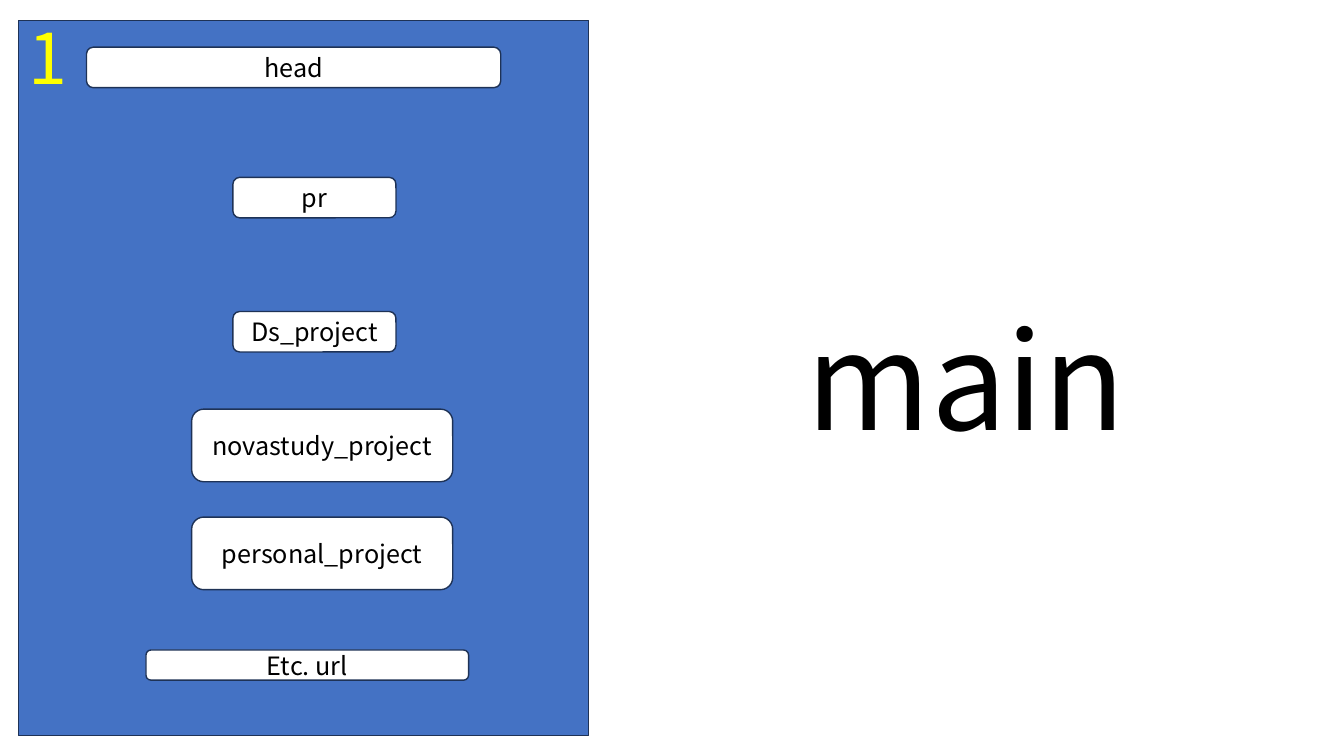
"""Build a wireframe slide of the main page and its sections."""
import pptx
import pptx.util
import pptx.dml.color
import pptx.enum.shapes
import pptx.enum.text

Cm = pptx.util.Cm
Pt = pptx.util.Pt
SHAPE = pptx.enum.shapes.MSO_SHAPE
ALIGN = pptx.enum.text.PP_ALIGN
ANCHOR = pptx.enum.text.MSO_ANCHOR

THEME = {
    "font": "Noto Sans CJK KR",
    "panel": "4472C4",
    "outline": "1E3256",
    "section": "FFFFFF",
    "text": "000000",
    "number": "FFFF00",
    "section_size": 18,
    "number_size": 50,
    "title_size": 96,
}

SLIDE_SIZE = (33.87, 19.05)
PANEL = (0.46, 0.51, 14.38, 18.03)
SECTIONS = [
    ("head", (2.18, 1.19, 10.44, 1.02)),
    ("pr", (5.87, 4.47, 4.11, 1.02)),
    ("Ds_project", (5.87, 7.85, 4.11, 1.02)),
    ("novastudy_project", (4.83, 10.31, 6.58, 1.83)),
    ("personal_project", (4.83, 13.03, 6.58, 1.83)),
    ("Etc. url", (3.68, 16.38, 8.13, 0.76)),
]
LABELS = [
    ("1", (0.46, 0.25, 1.73, 2.39), "number", ALIGN.LEFT),
    ("main", (17.09, 7.34, 14.53, 4.37), "title", ALIGN.CENTER),
]


def rgb(key):
    return pptx.dml.color.RGBColor.from_string(THEME[key])


def add_box(s, kind, box, fill):
    sp = s.shapes.add_shape(kind, *map(Cm, box))
    sp.shadow.inherit = False
    sp.fill.solid()
    sp.fill.fore_color.rgb = rgb(fill)
    sp.line.color.rgb = rgb("outline")
    sp.line.width = Pt(1)
    return sp


def write(sp, text, size, color, align, anchor):
    tf = sp.text_frame
    tf.word_wrap = True
    tf.vertical_anchor = anchor
    p = tf.paragraphs[0]
    p.alignment = align
    r = p.add_run()
    r.text = text
    r.font.name = THEME["font"]
    r.font.size = Pt(THEME[size])
    r.font.color.rgb = rgb(color)


def main():
    prs = pptx.Presentation()
    prs.slide_width, prs.slide_height = map(Cm, SLIDE_SIZE)
    s = prs.slides.add_slide(prs.slide_layouts[6])

    add_box(s, SHAPE.RECTANGLE, PANEL, "panel")
    for text, box in SECTIONS:
        sp = add_box(s, SHAPE.ROUNDED_RECTANGLE, box, "section")
        write(sp, text, "section_size", "text", ALIGN.CENTER, ANCHOR.MIDDLE)
    for text, box, role, align in LABELS:
        sp = s.shapes.add_textbox(*map(Cm, box))
        color = "number" if role == "number" else "text"
        write(sp, text, f"{role}_size", color, align, ANCHOR.TOP)

    prs.save("out.pptx")


if __name__ == "__main__":
    main()
